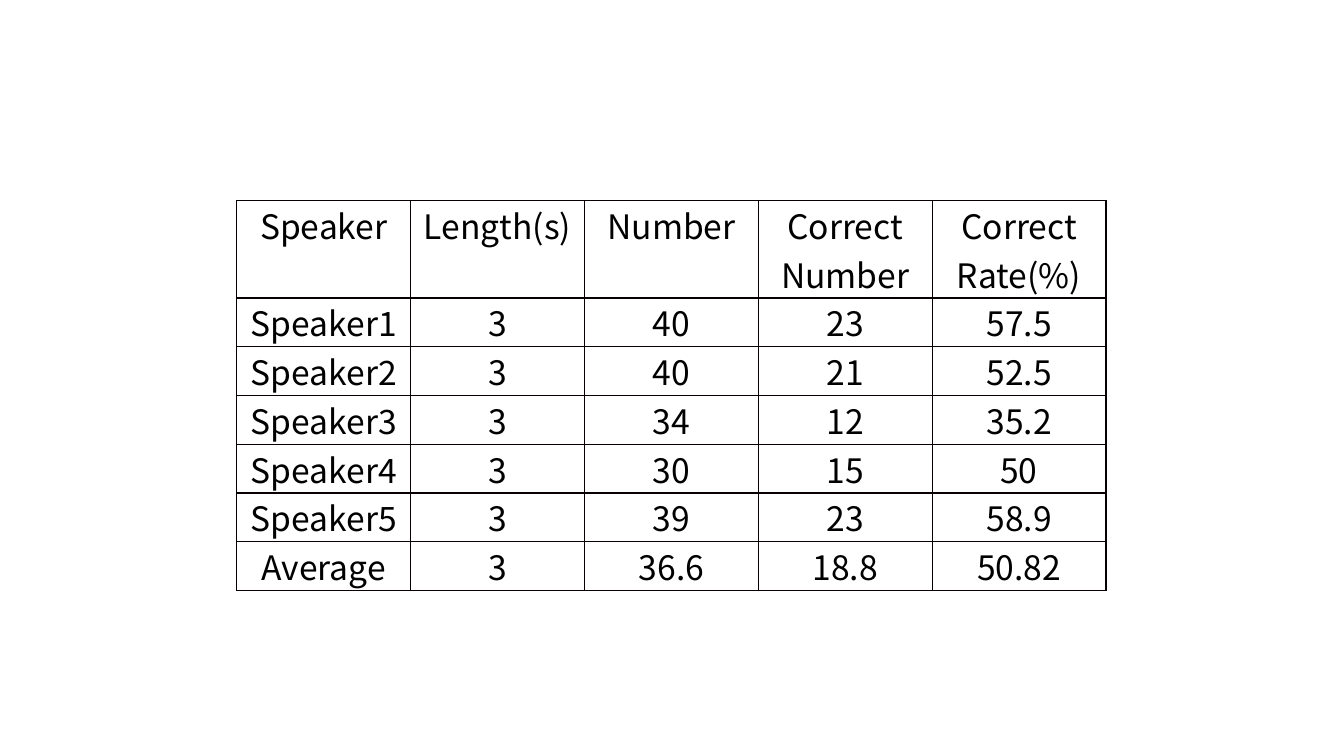
from dataclasses import astuple, dataclass

from lxml.etree import SubElement
from pptx import Presentation
from pptx.dml.color import RGBColor
from pptx.enum.text import PP_ALIGN as Align
from pptx.oxml.ns import qn
from pptx.slide import Slide
from pptx.table import _Cell as Cell
from pptx.util import Cm, Pt

FONT = "Noto Sans CJK SC"
TEXT_COLOUR = "000000"
BORDER_COLOUR = "080000"
LEFT, TOP = 5.97, 5.05
COLUMN_WIDTH, ROW_HEIGHT = 4.38, 1.16


@dataclass
class Result:
    speaker: str
    length: str
    number: str
    correct_number: str
    correct_rate: str


RESULTS = [
    Result("Speaker", "Length(s)", "Number", "Correct Number", "Correct Rate(%)"),
    Result("Speaker1", "3", "40", "23", "57.5"),
    Result("Speaker2", "3", "40", "21", "52.5"),
    Result("Speaker3", "3", "34", "12", "35.2"),
    Result("Speaker4", "3", "30", "15", "50"),
    Result("Speaker5", "3", "39", "23", "58.9"),
    Result("Average", "3", "36.6", "18.8", "50.82"),
]


def colour(hex_value: str) -> RGBColor:
    return RGBColor.from_string(hex_value)


def add_borders(cell: Cell) -> None:
    properties = cell._tc.get_or_add_tcPr()
    for position, side in enumerate(("lnL", "lnR", "lnT", "lnB")):
        line = SubElement(properties, qn(f"a:{side}"), w=str(Pt(1)))
        fill = SubElement(line, qn("a:solidFill"))
        SubElement(fill, qn("a:srgbClr"), val=BORDER_COLOUR)
        # Border lines come before the fill in the cell properties
        properties.insert(position, line)


def format_cell(cell: Cell, text: str) -> None:
    cell.text = text
    cell.fill.background()
    cell.margin_left = cell.margin_right = Cm(0.19)
    cell.margin_top = cell.margin_bottom = 0
    paragraph = cell.text_frame.paragraphs[0]
    paragraph.alignment = Align.CENTER
    paragraph.font.name = FONT
    paragraph.font.size = Pt(24)
    paragraph.font.bold = False
    paragraph.font.color.rgb = colour(TEXT_COLOUR)
    add_borders(cell)


def add_results_table(slide: Slide, results: list[Result]) -> None:
    rows = [astuple(result) for result in results]
    column_count = len(rows[0])
    table = slide.shapes.add_table(
        len(rows), column_count, Cm(LEFT), Cm(TOP),
        Cm(column_count * COLUMN_WIDTH), Cm((len(rows) + 1) * ROW_HEIGHT),
    ).table
    table.first_row = table.horz_banding = False
    for column in table.columns:
        column.width = Cm(COLUMN_WIDTH)
    for index, row in enumerate(table.rows):
        # The header holds two lines of text
        row.height = Cm(ROW_HEIGHT * (2 if index == 0 else 1))
        for cell, text in zip(row.cells, rows[index]):
            format_cell(cell, text)


def main() -> None:
    # Blank widescreen slide
    presentation = Presentation()
    presentation.slide_width, presentation.slide_height = Cm(33.87), Cm(19.05)
    slide = presentation.slides.add_slide(presentation.slide_layouts[6])

    # Recognition results per speaker
    add_results_table(slide, RESULTS)
    presentation.save("out.pptx")


if __name__ == "__main__":
    main()
